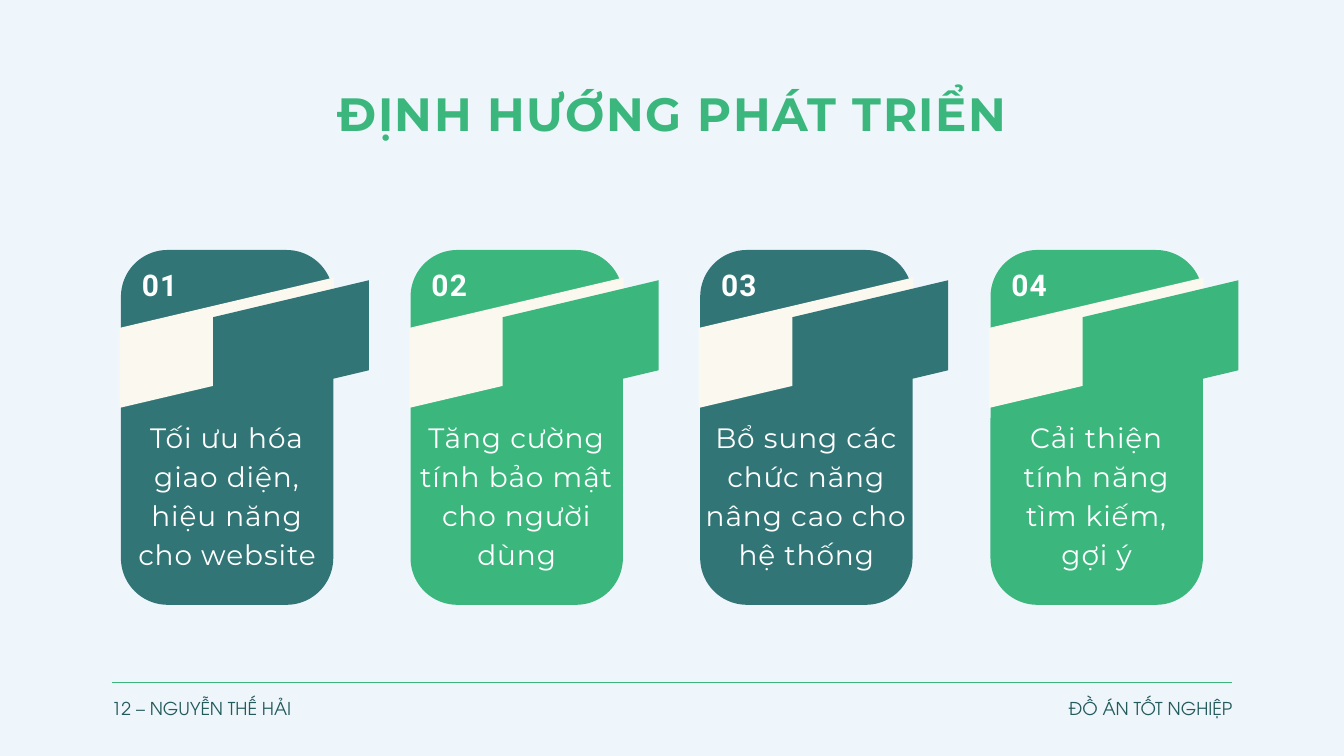
from pptx import Presentation
from pptx.dml.color import RGBColor
from pptx.enum.shapes import MSO_CONNECTOR as Conn, MSO_SHAPE as Shape
from pptx.enum.text import MSO_AUTO_SIZE as Fit, PP_ALIGN as Align
from pptx.oxml.ns import qn
from pptx.util import Pt
from lxml.etree import SubElement

PX = 9144  # 100 px to the inch
TEAL, GREEN, CREAM = "327576", "3BB77E", "FAF8EF"
WHITE, DARK = "FFFFFF", "235A5B"


def paint(item, color):
    item.fill.solid()
    item.fill.fore_color.rgb = RGBColor.from_string(color)


def write(text, x, y, w, h, size, lead, font, color=WHITE,
          bold=False, align=Align.CENTER, gap=0):
    """Add a text box; lead is line pitch in points, gap is letter spacing."""
    box = slide.shapes.add_textbox(x * PX, y * PX, w * PX, h * PX)
    frame = box.text_frame
    frame.margin_left = frame.margin_right = 0
    frame.margin_top = frame.margin_bottom = 0
    frame.word_wrap = True
    frame.auto_size = Fit.SHAPE_TO_FIT_TEXT
    para = frame.paragraphs[0]
    para.alignment = align
    para.line_spacing = Pt(lead)
    run = para.add_run()
    run.text = text
    run.font.name = font
    run.font.size = Pt(size)
    run.font.bold = bold
    run.font.color.rgb = RGBColor.from_string(color)
    if gap:
        run.font._element.set("spc", str(int(gap * 100)))


deck = Presentation()
deck.slide_width, deck.slide_height = 2000 * PX, 1125 * PX
slide = deck.slides.add_slide(deck.slide_layouts[6])
paint(slide.background, "EFF6FB")

write("ĐỊNH HƯỚNG PHÁT TRIỂN", 342, 113, 1317, 93, 50, 70, "Montserrat",
      color=GREEN, bold=True, gap=1.6)

# Cards: body, cream band, folded flag, number, text
cards = [
    ("Tối ưu hóa giao diện, hiệu năng cho website", TEAL, 316),
    ("Tăng cường tính bảo mật cho người dùng", GREEN, 316),
    ("Bổ sung các chức năng nâng cao cho hệ thống", TEAL, 318),
    ("Cải thiện tính năng tìm kiếm, gợi ý", GREEN, 286),
]
band = [(-2, 488), (-2, 607), (317, 532), (317, 413)]
flag = [(137, 472), (137, 606), (369, 551), (369, 417)]

for i, (text, color, wide) in enumerate(cards):
    x = 180 + 1294 * i // 3
    body = slide.shapes.add_shape(Shape.ROUNDED_RECTANGLE,
                                  x * PX, 372 * PX, 316 * PX, 528 * PX)
    body.adjustments[0] = 0.22
    parts = [(body, color)]
    for points, tint in ((band, CREAM), (flag, color)):
        spots = [(x + dx, y) for dx, y in points]
        pen = slide.shapes.build_freeform(*spots[0], scale=PX)
        pen.add_line_segments(spots[1:], close=True)
        parts.append((pen.convert_to_shape(), tint))
    for part, tint in parts:
        paint(part, tint)
        part.line.fill.background()
        part.shadow.inherit = False
    write(f"{i + 1:02}", x + 14, 388, 87, 59, 32, 44.8, "Roboto",
          bold=True, gap=1.3)
    write(text, x + (316 - wide) // 2, 617, wide, 231, 30, 42,
          "Montserrat", gap=1)

# Footer
rule = slide.shapes.add_connector(Conn.STRAIGHT, 166 * PX, 1015 * PX,
                                  1834 * PX, 1015 * PX)
rule.line.color.rgb = RGBColor.from_string(GREEN)
rule.line.width = Pt(0.75)
SubElement(rule._element.spPr, qn("a:effectLst"))

for text, x, w, align in (
    ("12 – NGUYỄN THẾ HẢI", 166, 469, Align.LEFT),
    ("ĐỒ ÁN TỐT NGHIỆP", 1348, 486, Align.RIGHT),
):
    write(text, x, 1029, w, 39, 19, 29.4, "TeX Gyre Adventor",
          color=DARK, align=align)

deck.save("out.pptx")
